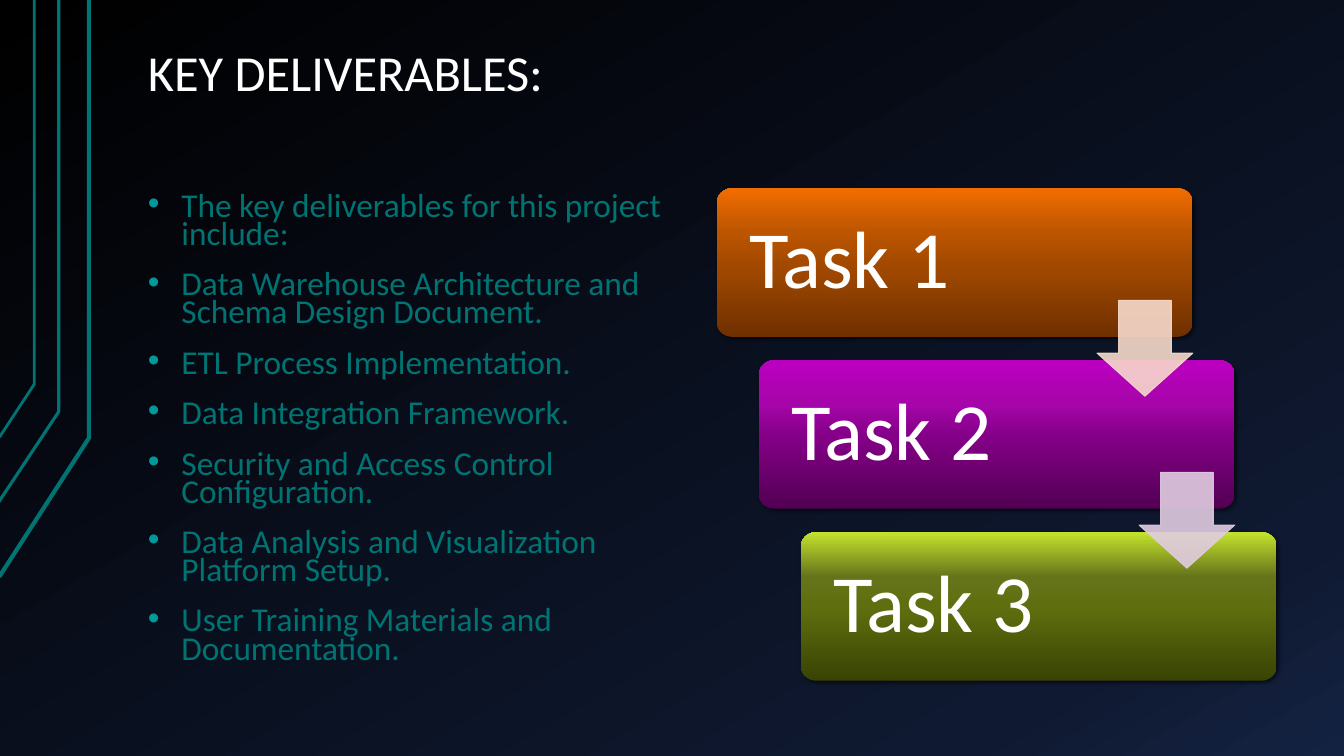
from lxml import etree
from pptx import Presentation
from pptx.dml.color import RGBColor
from pptx.enum.shapes import MSO_SHAPE
from pptx.enum.text import MSO_ANCHOR, MSO_AUTO_SIZE, PP_ALIGN
from pptx.oxml.ns import qn
from pptx.util import Pt

CARD, ARROW = MSO_SHAPE.ROUNDED_RECTANGLE, MSO_SHAPE.DOWN_ARROW
TOP, MIDDLE, BOTTOM = MSO_ANCHOR.TOP, MSO_ANCHOR.MIDDLE, MSO_ANCHOR.BOTTOM
LEFT, NO_FIT = PP_ALIGN.LEFT, MSO_AUTO_SIZE.NONE
FONT = "Calibri"

TITLE = "KEY DELIVERABLES:"
ITEMS = [
    "The key deliverables for this project include:",
    "Data Warehouse Architecture and Schema Design Document.",
    "ETL Process Implementation.",
    "Data Integration Framework.",
    "Security and Access Control Configuration.",
    "Data Analysis and Visualization Platform Setup.",
    "User Training Materials and Documentation.",
]
COLORS = {"white": "FFFFFF", "teal": "007373", "bullet": "009999",
          "shadow": "000000", "peach": "F7DACC", "lilac": "E0CCE1"}
BACK = {0: "000000", 85: "0F1931", 100: "142242"}
TASKS = [
    ("Task 1", {0: "703000", 50: "A44A00", 70: "BC5500", 100: "F26D00"}),
    ("Task 2", {0: "520054", 50: "850088", 70: "A505A9", 100: "BC00C0"}),
    ("Task 3", {0: "394404", 50: "5F6F0F", 70: "65741A", 100: "C4E32D"}),
]
ARROWS = ["peach", "lilac"]
# Corner x, corner y, foot x, foot y, line width
RAILS = [(63.5, 313, -0.5, 412, 3), (42, 294, -1.5, 359.5, 2.25),
         (24.5, 274.5, -0.5, 312.5, 2)]

CARD_X, CARD_Y, CARD_W, CARD_H = 512, 134.6, 340, 106
STEP_X, STEP_Y = 30, 122.8
ARROW_SIZE, ARROW_DROP = 68.4, 80


def add(parent, tag, **attrs):
    node = etree.SubElement(parent, qn(tag))
    for key, value in attrs.items():
        node.set(key, str(value))
    return node


def blend(fill, root, stops, angle):
    """Give the first gradient under root these stops and this angle."""
    fill.gradient()
    grad = root.find(".//" + qn("a:gradFill"))
    for child in list(grad):
        grad.remove(child)
    group = add(grad, "a:gsLst")
    for spot, color in stops.items():
        add(add(group, "a:gs", pos=spot * 1000), "a:srgbClr", val=color)
    add(grad, "a:lin", ang=angle * 60000, scaled=0)


def place(shape, x, y, w, h):
    shape.left, shape.top, shape.width, shape.height = map(Pt, (x, y, w, h))


def write(shape, lines, size, color, inset, anchor=TOP,
          spacing=0.9, before=0, bullet=None):
    frame = shape.text_frame
    frame.word_wrap = True
    frame.auto_size = NO_FIT
    frame.vertical_anchor = anchor
    (frame.margin_left, frame.margin_top,
     frame.margin_right, frame.margin_bottom) = map(Pt, inset)
    frame.text = "\n".join(lines)
    for para in frame.paragraphs:
        para.alignment = LEFT
        para.line_spacing = spacing
        para.space_before, para.space_after = Pt(before), Pt(0)
        font = para.runs[0].font
        font.name, font.size = FONT, Pt(size)
        font.color.rgb = RGBColor.from_string(COLORS[color])
        if bullet:
            props = para._p.get_or_add_pPr()
            props.set("marL", str(Pt(24)))
            props.set("indent", str(Pt(-24)))
            add(add(props, "a:buClr"), "a:srgbClr", val=COLORS[bullet])
            add(props, "a:buFont", typeface="Arial")
            add(props, "a:buChar", char="•")


def add_rail(shapes, x, y, foot_x, foot_y, width):
    path = shapes.build_freeform(Pt(foot_x), Pt(foot_y))
    path.add_line_segments([(Pt(x), Pt(y)), (Pt(x), 0)], close=False)
    rail = path.convert_to_shape()
    rail.shadow.inherit = False
    rail.fill.background()
    rail.line.color.rgb = RGBColor.from_string(COLORS["teal"])
    rail.line.width = Pt(width)


def add_card(shapes, x, y, label, stops):
    card = shapes.add_shape(CARD, Pt(x), Pt(y), Pt(CARD_W), Pt(CARD_H))
    card.adjustments[0] = 0.1
    blend(card.fill, card.element, stops, 270)
    card.line.fill.background()
    card.shadow.inherit = False
    effects = card.element.spPr.find(qn("a:effectLst"))
    shade = add(effects, "a:outerShdw", blurRad=Pt(3), dist=Pt(2),
                dir=45 * 60000, algn="ctr", rotWithShape=0)
    color = add(shade, "a:srgbClr", val=COLORS["shadow"])
    add(color, "a:alpha", val=60000)
    write(card, [label], 58, "white", (20, 17, 17, 17), anchor=MIDDLE)


def add_arrow(shapes, x, y, color):
    arrow = shapes.add_shape(ARROW, Pt(x), Pt(y),
                             Pt(ARROW_SIZE), Pt(ARROW_SIZE))
    arrow.adjustments[0], arrow.adjustments[1] = 0.55, 0.45
    arrow.shadow.inherit = False
    arrow.fill.solid()
    arrow.line.width = Pt(0.75)
    for paint in (arrow.fill.fore_color, arrow.line.color):
        paint.rgb = RGBColor.from_string(COLORS[color])
    for node in arrow.element.spPr.iter(qn("a:srgbClr")):
        add(node, "a:alpha", val=90000)


def main():
    deck = Presentation()
    deck.slide_width, deck.slide_height = Pt(960), Pt(540)
    slide = deck.slides.add_slide(deck.slide_layouts[1])
    shapes = slide.shapes
    blend(slide.background.fill, slide.element, BACK, 60)

    for rail in RAILS:
        add_rail(shapes, *rail)

    title, body = slide.placeholders
    place(title, 96, 21.6, 816, 96.4)
    write(title, [TITLE], 36, "white", (9.6, 4.8, 9.6, 45), anchor=BOTTOM)
    place(body, 96, 134.6, 400, 351.4)
    write(body, ITEMS, 23.8, "teal", (9.6, 4.8, 9.6, 4.8),
          spacing=0.7, before=16, bullet="bullet")

    for i, (label, stops) in enumerate(TASKS):
        add_card(shapes, CARD_X + i * STEP_X, CARD_Y + i * STEP_Y,
                 label, stops)
    for i, color in enumerate(ARROWS):
        add_arrow(shapes, CARD_X + i * STEP_X + CARD_W - ARROW_SIZE,
                  CARD_Y + i * STEP_Y + ARROW_DROP, color)
    deck.save("out.pptx")


if __name__ == "__main__":
    main()
